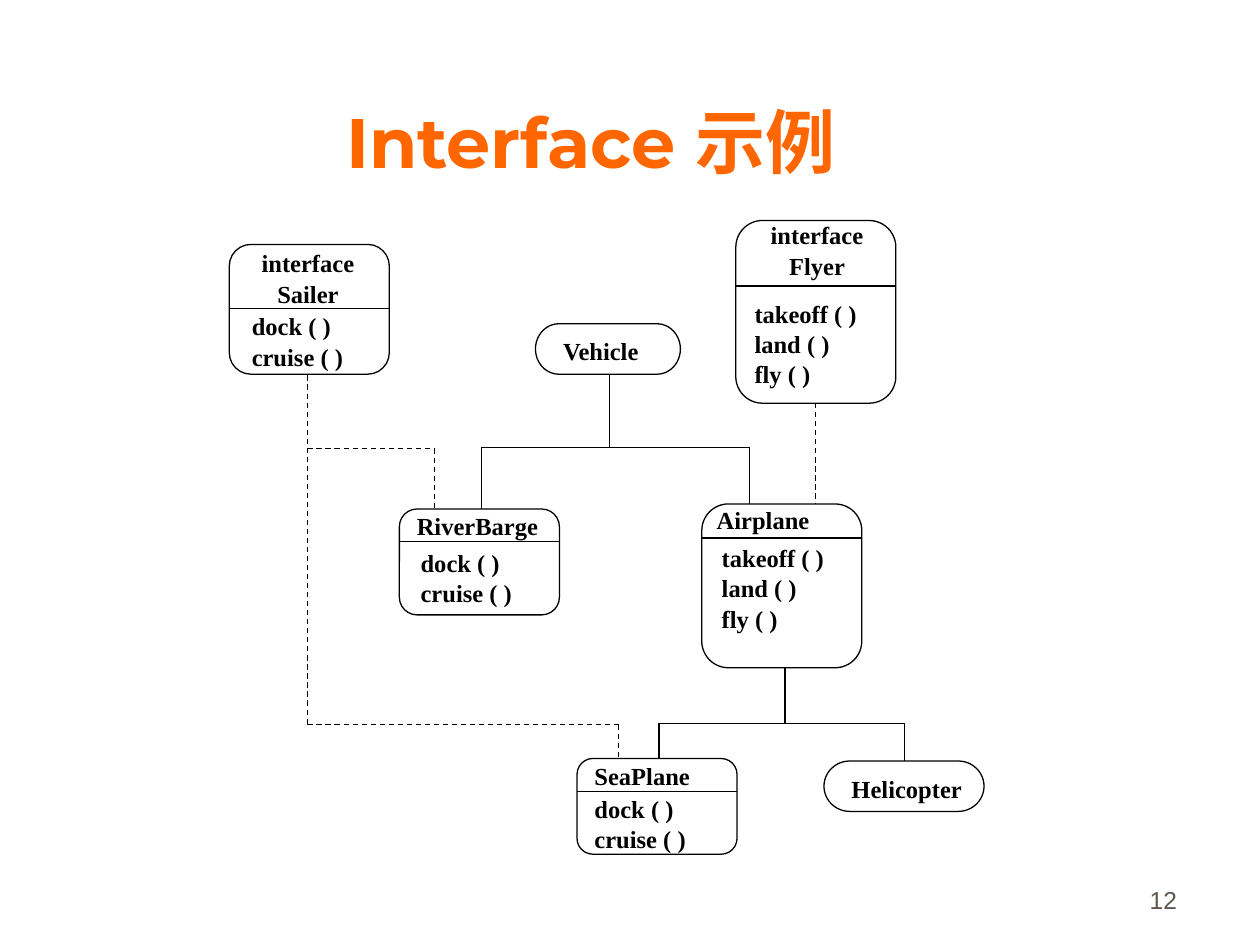
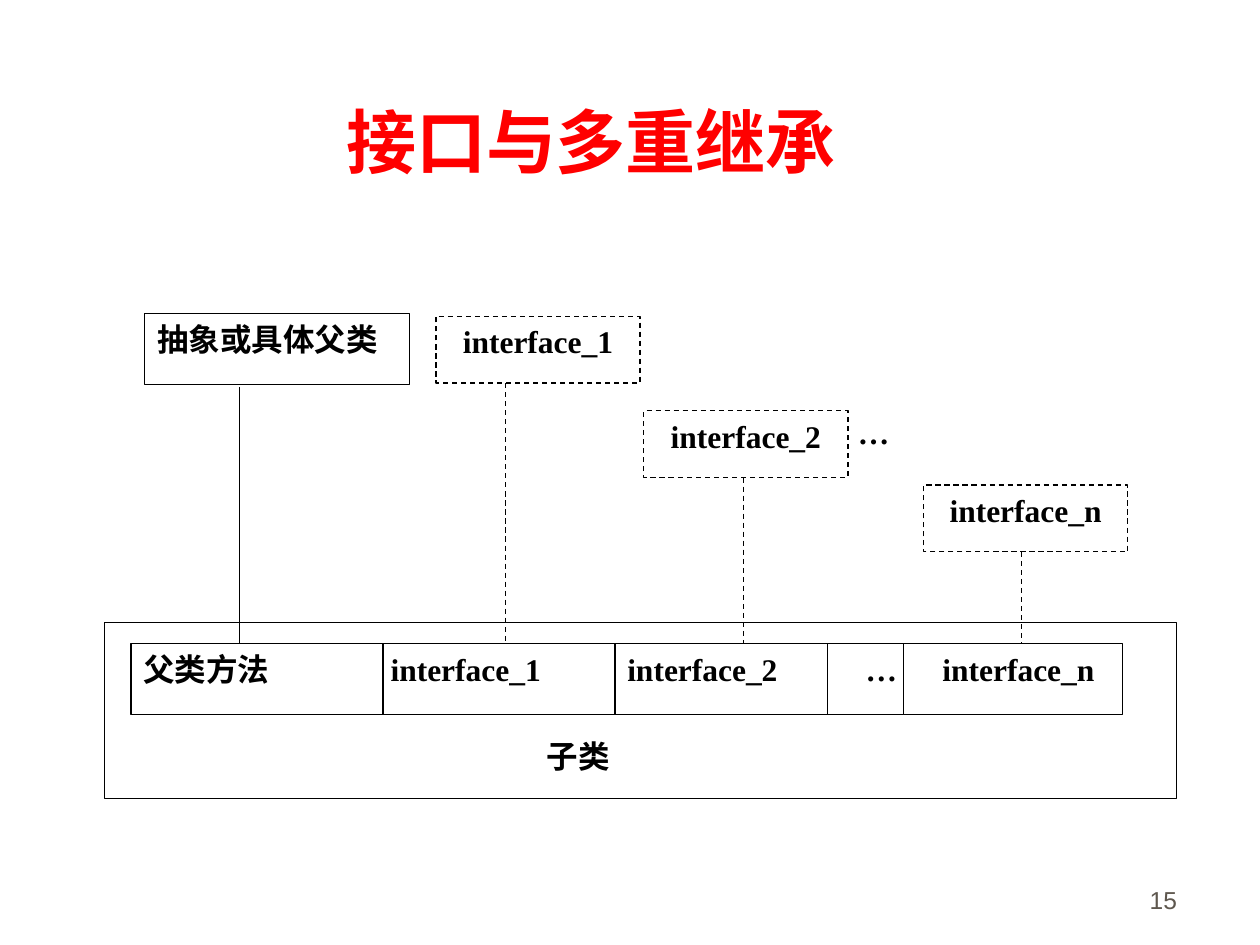
from itertools import pairwise

from lxml.etree import SubElement
from pptx import Presentation
from pptx.dml.color import RGBColor
from pptx.enum.dml import MSO_LINE
from pptx.enum.shapes import MSO_CONNECTOR, MSO_SHAPE as Preset
from pptx.enum.text import MSO_ANCHOR as Anchor, PP_ALIGN as Align
from pptx.oxml.ns import qn
from pptx.util import Inches, Pt

BLACK = RGBColor(0x00, 0x00, 0x00)
WHITE = RGBColor(0xFF, 0xFF, 0xFF)
ORANGE = RGBColor(0xFF, 0x66, 0x00)
RED = RGBColor(0xFF, 0x00, 0x00)
TAUPE = RGBColor(0x5E, 0x57, 0x4E)

SLIDE_WIDTH, SLIDE_HEIGHT = Inches(10), Inches(7.5)
COLUMNS, ROWS = 100, 75
BODY_FONT, TITLE_FONT, NUMBER_FONT = "Times New Roman", "Montserrat", "Arial"
LINE_WEIGHT = Pt(0.75)
CLASS_WIDTH = 12.7


def across(columns):
    return round(SLIDE_WIDTH * columns / COLUMNS)


def down(rows):
    return round(SLIDE_HEIGHT * rows / ROWS)


def place(left, top, width, height):
    return across(left), down(top), across(width), down(height)


def write(shape, lines, size, align=Align.LEFT, anchor=Anchor.TOP,
          font=BODY_FONT, color=BLACK, bold=True):
    frame = shape.text_frame
    frame.word_wrap = True
    frame.vertical_anchor = anchor
    for index, line in enumerate(lines):
        para = frame.add_paragraph() if index else frame.paragraphs[0]
        para.alignment = align
        if index:
            para.space_before = Pt(0.6)
        span = para.add_run()
        span.text = line
        span.font.size = Pt(size)
        span.font.name = font
        span.font.bold = bold
        span.font.color.rgb = color


def add_text(page, area, lines, size, **style):
    write(page.shapes.add_textbox(*place(*area)), lines, size, **style)


def style_line(line, dashed):
    line.color.rgb = BLACK
    line.width = LINE_WEIGHT
    if dashed:
        line.dash_style = MSO_LINE.DASH


def add_outline(page, preset, area, fill=None, dashed=False):
    shape = page.shapes.add_shape(preset, *place(*area))
    shape.shadow.inherit = False
    if fill is None:
        shape.fill.background()
    else:
        shape.fill.solid()
        shape.fill.fore_color.rgb = fill
    style_line(shape.line, dashed)
    return shape


def add_route(page, *points, dashed=False):
    """Join successive (column, row) points with straight lines."""
    for (x1, y1), (x2, y2) in pairwise(points):
        link = page.shapes.add_connector(
            MSO_CONNECTOR.STRAIGHT, across(x1), down(y1), across(x2), down(y2))
        style_line(link.line, dashed)
        SubElement(link._element.spPr, qn("a:effectLst"))


def add_page(deck, title, color, number):
    page = deck.slides.add_slide(deck.slide_layouts[6])
    add_text(page, (4.4, 2.5, 85, 12.5), [title], 40, align=Align.CENTER,
             anchor=Anchor.BOTTOM, font=TITLE_FONT, color=color)
    add_text(page, (73.6, 68.1, 20.8, 5), [number], 14, align=Align.RIGHT,
             anchor=Anchor.BOTTOM, font=NUMBER_FONT, color=TAUPE, bold=False)
    return page


def add_class(page, left, top, height, divider, name, methods,
              name_at, methods_at, align=Align.LEFT):
    """Draw a class; divider and text places are offsets from its corner."""
    add_outline(page, Preset.FLOWCHART_ALTERNATE_PROCESS,
                (left, top, CLASS_WIDTH, height))
    add_route(page, (left, top + divider), (left + CLASS_WIDTH, top + divider))
    for lines, (dx, dy), alignment in ((name, name_at, align),
                                       (methods, methods_at, Align.LEFT)):
        area = (left + dx, top + dy, CLASS_WIDTH, 2.5 * len(lines) + 1)
        add_text(page, area, lines, 14, align=alignment)


def add_plain_class(page, left, top, width, name):
    add_outline(page, Preset.FLOWCHART_TERMINATOR, (left, top, width, 4))
    add_text(page, (left + 1.2, top + 0.5, width, 4), [name], 14)


def add_example(deck):
    page = add_page(deck, "Interface 示例", ORANGE, "12")
    sailing = ["dock ( )", "cruise ( )"]
    flying = ["takeoff ( )", "land ( )", "fly ( )"]

    add_class(page, 18.2, 19.4, 10.3, 5.1, ["interface", "Sailer"], sailing,
              (-0.1, -0.2), (0.8, 4.8), Align.CENTER)
    add_class(page, 58.4, 17.5, 14.5, 5.2, ["interface", "Flyer"], flying,
              (0.1, -0.5), (0.5, 5.7), Align.CENTER)
    add_class(page, 31.7, 40.4, 8.4, 2.6, ["RiverBarge"], sailing,
              (0.4, -0.3), (0.7, 2.6))
    add_class(page, 55.7, 40, 13, 2.7, ["Airplane"], flying,
              (0.2, -0.4), (0.6, 2.6))
    add_class(page, 45.8, 60.2, 7.6, 2.6, ["SeaPlane"], sailing,
              (0.4, -0.3), (0.4, 2.3))
    add_plain_class(page, 42.5, 25.7, 11.5, "Vehicle")
    add_plain_class(page, 65.4, 60.4, 12.7, "Helicopter")

    # Inheritance
    add_route(page, (48.4, 29.7), (48.4, 35.5))
    add_route(page, (38.2, 40.4), (38.2, 35.5), (59.5, 35.5), (59.5, 40))
    add_route(page, (62.3, 53), (62.3, 57.4))
    add_route(page, (52.3, 60.2), (52.3, 57.4), (71.8, 57.4), (71.8, 60.4))
    # Implementation
    add_route(page, (24.4, 29.8), (24.4, 57.5), (49.1, 57.5), (49.1, 60.2),
              dashed=True)
    add_route(page, (24.4, 35.6), (34.5, 35.6), (34.5, 40.4), dashed=True)
    add_route(page, (64.7, 32), (64.7, 40), dashed=True)


def add_inheritance(deck):
    page = add_page(deck, "接口与多重继承", RED, "15")
    row_top, row_height = 51.1, 5.6
    add_outline(page, Preset.RECTANGLE, (8.3, 49.4, 85.1, 14))

    parent = add_outline(page, Preset.RECTANGLE, (11.5, 24.9, 21, 5.6), WHITE)
    write(parent, ["抽象或具体父类"], 18)
    add_route(page, (19, 30.7), (19, row_top))

    for left, top, link, name in ((34.6, 25.1, 40.1, "interface_1"),
                                  (51.1, 32.6, 59, "interface_2"),
                                  (73.3, 38.5, 81.1, "interface_n")):
        box = add_outline(page, Preset.RECTANGLE, (left, top, 16.2, 5.3),
                          WHITE, dashed=True)
        write(box, [name], 18, align=Align.CENTER)
        add_route(page, (link, top + 5.3), (link, row_top), dashed=True)

    edges = (10.4, 30.4, 48.8, 65.7, 71.7, 89.1)
    cells = (("父类方法", 1), ("interface_1", 0.6), ("interface_2", 1),
             ("…", 3), ("interface_n", 3.1))
    for (left, right), (name, indent) in zip(pairwise(edges), cells):
        cell = add_outline(page, Preset.RECTANGLE,
                           (left, row_top, right - left, row_height), WHITE)
        cell.text_frame.margin_left = across(indent)
        cell.text_frame.margin_right = 0
        write(cell, [name], 18)

    add_text(page, (67.1, 32.3, 11.9, 5.5), ["…"], 18)
    add_text(page, (42.4, 58, 11.9, 5.5), ["子类"], 18)


def main():
    deck = Presentation()
    deck.slide_width, deck.slide_height = SLIDE_WIDTH, SLIDE_HEIGHT
    add_example(deck)
    add_inheritance(deck)
    deck.save("out.pptx")


if __name__ == "__main__":
    main()
